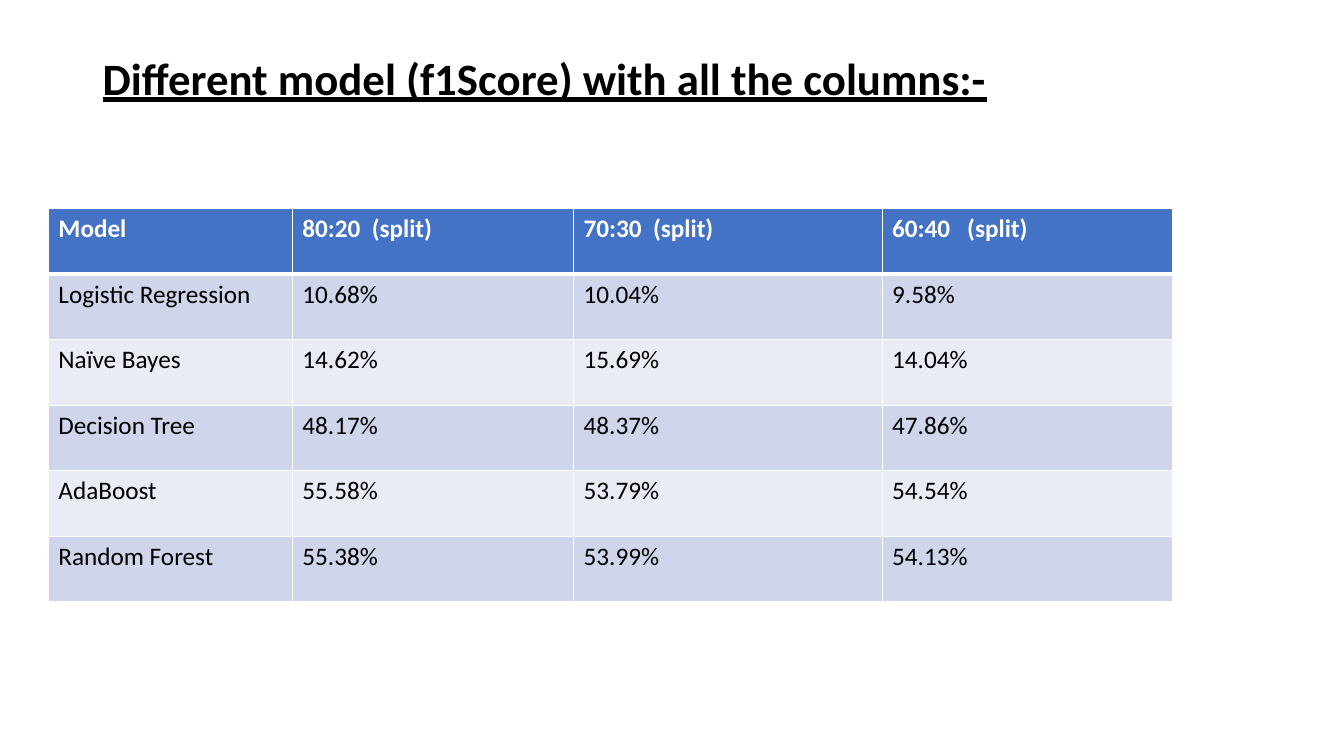
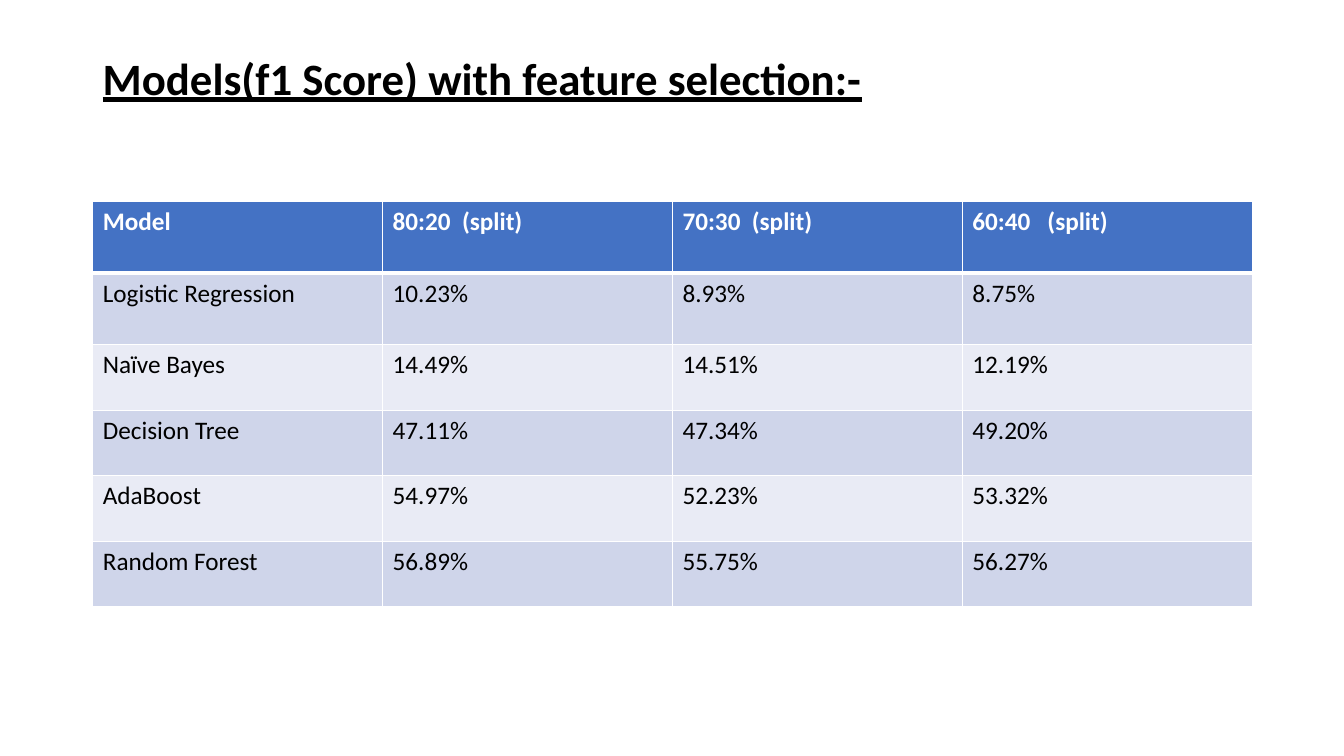
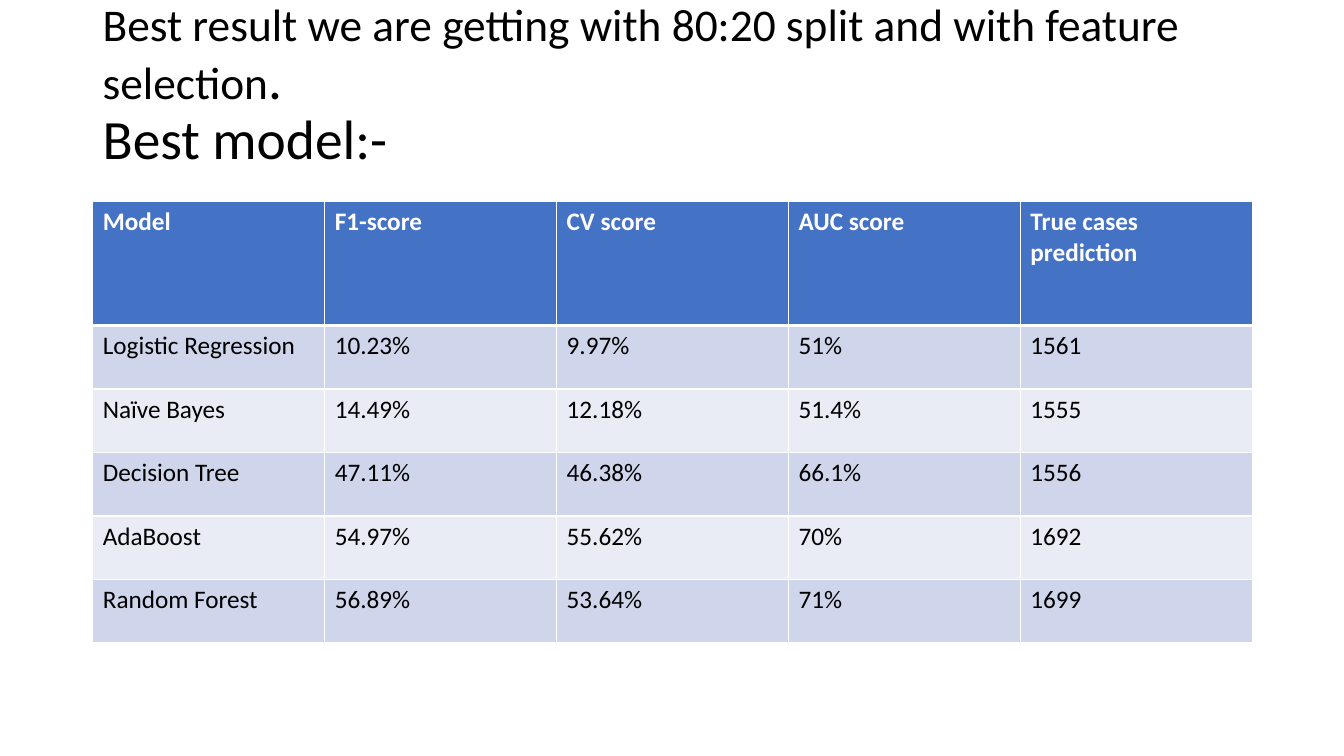
from lxml import etree
from pptx import Presentation
from pptx.dml.color import RGBColor
from pptx.enum import text
from pptx.oxml import ns
from pptx.util import Inches, Pt

BLACK = RGBColor(0x00, 0x00, 0x00)
WHITE = RGBColor(0xFF, 0xFF, 0xFF)
HEADER_BLUE = RGBColor(0x44, 0x72, 0xC4)
BANDS = (RGBColor(0xCF, 0xD5, 0xEA), RGBColor(0xE9, 0xEB, 0xF5))

LEFT = 0.92
MODELS = ("Logistic Regression", "Naïve Bayes", "Decision Tree", "AdaBoost", "Random Forest")
SPLITS = ("Model", "80:20  (split)", "70:30  (split)", "60:40   (split)")


class Deck:
    font = "Calibri"
    title_size = 32
    cell_size = 18

    def __init__(self):
        self.prs = Presentation()
        self.prs.slide_width = Inches(13.33)
        self.prs.slide_height = Inches(7.5)
        self.slide = None

    def new_slide(self):
        self.slide = self.prs.slides.add_slide(self.prs.slide_layouts[6])

    def add_run(self, paragraph, words, size, color=BLACK, bold=False, underline=False):
        run = paragraph.add_run()
        run.text = words
        run.font.name = self.font
        run.font.size = Pt(size)
        run.font.color.rgb = color
        run.font.bold = bold
        run.font.underline = underline

    def title_box(self, top, height):
        frame = self.slide.shapes.add_textbox(
            Inches(LEFT), Inches(top), Inches(11.5), Inches(height)).text_frame
        frame.word_wrap = True
        frame.vertical_anchor = text.MSO_ANCHOR.MIDDLE
        frame.paragraphs[0].line_spacing = 0.9
        return frame

    def heading(self, words):
        frame = self.title_box(0.4, 0.8)
        self.add_run(frame.paragraphs[0], words, self.title_size, bold=True, underline=True)

    def conclusion(self, finding, label):
        frame = self.title_box(0.35, 1.63)
        frame.margin_bottom = Inches(0.65)
        paragraph = frame.paragraphs[0]
        self.add_run(paragraph, finding, 32.4)
        self.add_run(paragraph, ".", 39.6)
        paragraph.add_line_break()
        self.add_run(paragraph, label, 39.6)

    def border(self, cell, side, width):
        line = etree.SubElement(cell._tc.get_or_add_tcPr(), ns.qn(f"a:ln{side}"), w=str(Pt(width)))
        fill = etree.SubElement(line, ns.qn("a:solidFill"))
        etree.SubElement(fill, ns.qn("a:srgbClr"), val=str(WHITE))

    def score_table(self, left, top, widths, heights, header, scores):
        rows = [header] + [(model, *values) for model, values in zip(MODELS, scores)]
        table = self.slide.shapes.add_table(
            len(rows), len(header), Inches(left), Inches(top),
            Inches(sum(widths)), Inches(sum(heights))).table
        for column, width in zip(table.columns, widths):
            column.width = Inches(width)
        for r, (values, height) in enumerate(zip(rows, heights)):
            table.rows[r].height = Inches(height)
            is_header = r == 0
            for c, value in enumerate(values):
                cell = table.cell(r, c)
                for side in "LRTB":
                    thick = (r, side) in ((0, "B"), (1, "T"))
                    self.border(cell, side, 3 if thick else 1)
                cell.fill.solid()
                cell.fill.fore_color.rgb = HEADER_BLUE if is_header else BANDS[(r - 1) % 2]
                self.add_run(cell.text_frame.paragraphs[0], value, self.cell_size,
                             WHITE if is_header else BLACK, bold=is_header)


def main():
    deck = Deck()

    deck.new_slide()
    deck.heading("Different model (f1Score) with all the columns:-")
    deck.score_table(0.48, 2.07, (2.42, 2.79, 3.06, 2.88), [0.65] * 6, SPLITS, (
        ("10.68%", "10.04%", "9.58%"),
        ("14.62%", "15.69%", "14.04%"),
        ("48.17%", "48.37%", "47.86%"),
        ("55.58%", "53.79%", "54.54%"),
        ("55.38%", "53.99%", "54.13%"),
    ))

    deck.new_slide()
    deck.heading("Models(f1 Score) with feature selection:-")
    deck.score_table(LEFT, 2, [11.5 / 4] * 4, [0.71] * 2 + [0.65] * 4, SPLITS, (
        ("10.23%", "8.93%", "8.75%"),
        ("14.49%", "14.51%", "12.19%"),
        ("47.11%", "47.34%", "49.20%"),
        ("54.97%", "52.23%", "53.32%"),
        ("56.89%", "55.75%", "56.27%"),
    ))

    deck.new_slide()
    deck.conclusion("Best result we are getting with 80:20 split and with feature selection",
                    "Best model:-")
    metrics = ("Model", "F1-score", "CV score", "AUC score", "True cases prediction")
    deck.score_table(LEFT, 2, [2.3] * 5, [1.23] + [0.63] * 5, metrics, (
        ("10.23%", "9.97%", "51%", "1561"),
        ("14.49%", "12.18%", "51.4%", "1555"),
        ("47.11%", "46.38%", "66.1%", "1556"),
        ("54.97%", "55.62%", "70%", "1692"),
        ("56.89%", "53.64%", "71%", "1699"),
    ))

    deck.prs.save("out.pptx")


if __name__ == "__main__":
    main()
